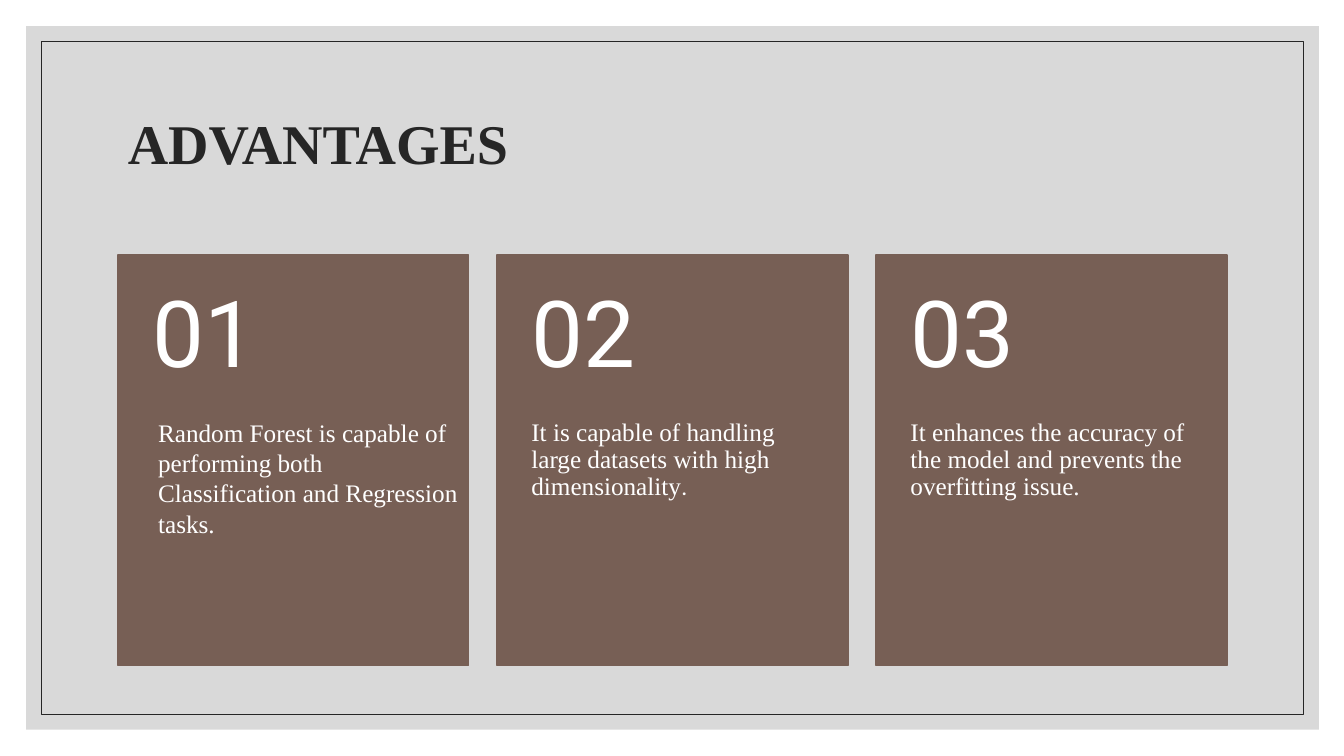
from dataclasses import dataclass

from pptx import Presentation
from pptx.dml.color import RGBColor
from pptx.enum.shapes import MSO_SHAPE as Shape
from pptx.enum.text import MSO_ANCHOR as Anchor
from pptx.util import Emu, Pt

PX = 9144  # EMU per px, 100 px to the inch
COLORS = {"panel": "D9D9D9", "ink": "262626", "card": "775F55", "white": "FFFFFF"}
SERIF, SANS = "Times New Roman", "Roboto"

CARD_LEFT, CARD_TOP, CARD_WIDTH, CARD_HEIGHT = 117, 253, 348, 407
CARD_STEP = 376
NUMBER_HEIGHT = 163


@dataclass(frozen=True)
class Box:
    left: int
    top: int
    width: int
    height: int

    def emu(self) -> list[Emu]:
        return [Emu(n * PX) for n in (self.left, self.top, self.width, self.height)]


@dataclass(frozen=True)
class Card:
    number: str
    text: str
    end: str = ""  # closing mark set in the sans font


CARDS = [
    Card("01", "Random Forest is capable of performing both Classification and Regression tasks."),
    Card("02", "It is capable of handling large datasets with high dimensionality", "."),
    Card("03", "It enhances the accuracy of the model and prevents the overfitting issue."),
]


def add_rectangle(page, box: Box, fill: str | None = None,
                  line: str | None = None, weight: float = 1):
    shape = page.shapes.add_shape(Shape.RECTANGLE, *box.emu())
    shape.shadow.inherit = False
    if fill:
        shape.fill.solid()
        shape.fill.fore_color.rgb = RGBColor.from_string(COLORS[fill])
    else:
        shape.fill.background()
    if line:
        shape.line.color.rgb = RGBColor.from_string(COLORS[line])
        shape.line.width = Pt(weight)
    else:
        shape.line.fill.background()
    return shape


def add_span(para, text: str, size: int, font: str, color: str, bold: bool) -> None:
    span = para.add_run()
    span.text = text
    span.font.size = Pt(size)
    span.font.name = font
    span.font.bold = bold
    span.font.color.rgb = RGBColor.from_string(COLORS[color])


def add_text(page, box: Box, text: str, *, size: int, font: str = SERIF,
             color: str = "white", bold: bool = False, end: str = "",
             anchor=Anchor.TOP, spacing: float = 0.9,
             insets: tuple[int, int, int, int] = (10, 5, 10, 5)):
    shape = page.shapes.add_textbox(*box.emu())
    frame = shape.text_frame
    frame.word_wrap = True
    frame.vertical_anchor = anchor
    (frame.margin_left, frame.margin_top,
     frame.margin_right, frame.margin_bottom) = [Emu(n * PX) for n in insets]
    para = frame.paragraphs[0]
    para.line_spacing = spacing
    add_span(para, text, size, font, color, bold)
    if end:
        add_span(para, end, size, SANS, color, bold)
    return shape


def add_card(page, index: int, card: Card) -> None:
    left = CARD_LEFT + index * CARD_STEP
    add_rectangle(page, Box(left, CARD_TOP, CARD_WIDTH, CARD_HEIGHT), "card", "card")
    add_text(page, Box(left, CARD_TOP, CARD_WIDTH, NUMBER_HEIGHT), card.number,
             size=66, font=SANS, anchor=Anchor.MIDDLE, insets=(34, 18, 34, 18))
    if index == 0:  # the first card has its own looser text box
        add_text(page, Box(147, 409, 317, 162), card.text, size=18, spacing=1.0)
    else:
        body = Box(left, CARD_TOP + NUMBER_HEIGHT, CARD_WIDTH, CARD_HEIGHT - NUMBER_HEIGHT)
        add_text(page, body, card.text, end=card.end, size=18, insets=(34, 0, 34, 36))


def main() -> None:
    deck = Presentation()
    deck.slide_width, deck.slide_height = Emu(1333 * PX), Emu(750 * PX)
    page = deck.slides.add_slide(deck.slide_layouts[6])

    # Panel and inner frame
    add_rectangle(page, Box(26, 26, 1282, 698), "panel")
    add_rectangle(page, Box(41, 41, 1252, 668), line="ink", weight=0.5)

    # Title
    add_text(page, Box(117, 70, 1100, 150), "ADVANTAGES", size=40, color="ink",
             bold=True, anchor=Anchor.MIDDLE)

    # Numbered cards
    for index, card in enumerate(CARDS):
        add_card(page, index, card)

    deck.save("out.pptx")


if __name__ == "__main__":
    main()
